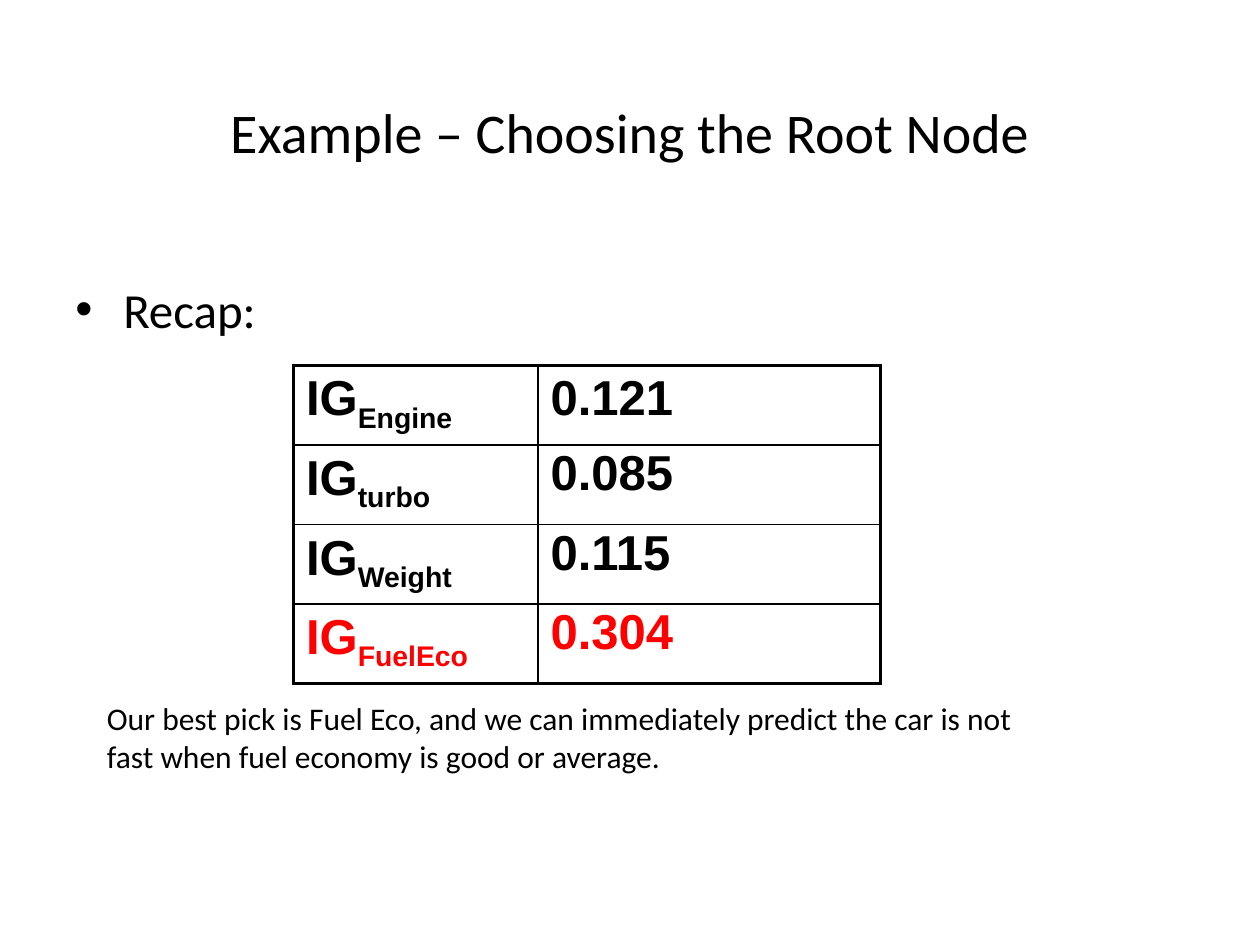
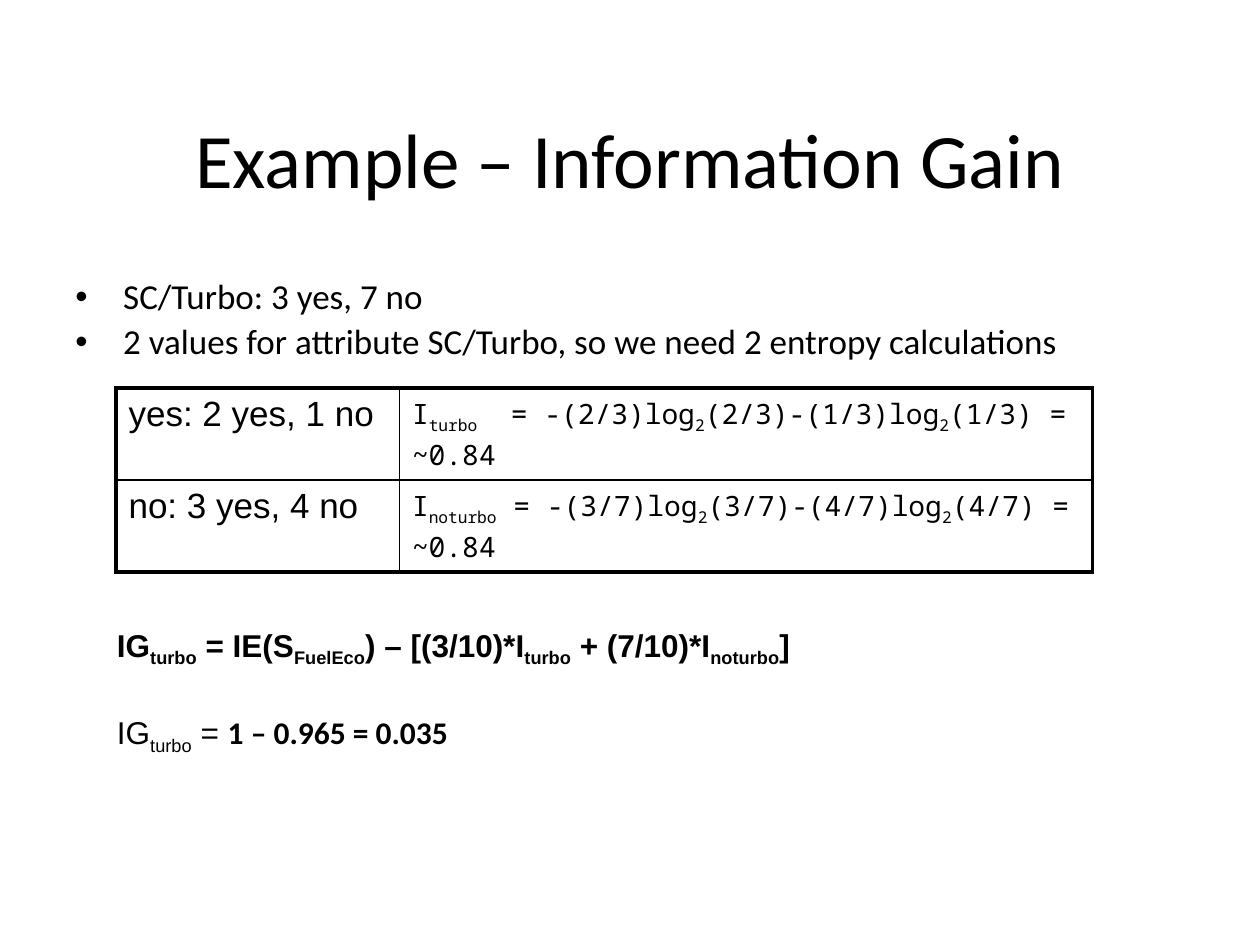
from pptx import Presentation
from pptx.dml.color import RGBColor
from pptx.enum import text as t
from pptx.oxml import ns
from pptx.util import Inches, Pt
from lxml import etree

BLACK = RGBColor(0, 0, 0)
RED = RGBColor(0xFF, 0, 0)
BODY, SANS, MONO = "Calibri", "Arial", "Noto Sans Mono"
OUTER, INNER = 2.25, 1


def add_xml(parent, tag, **attrs):
    return etree.SubElement(parent, ns.qn(tag), attrs)


def add_runs(p, content, size=18, font=BODY, color=BLACK, bold=False):
    """Text between bars is set as subscript."""
    for i, part in enumerate(content.split("|")):
        if not part:
            continue
        r = p.add_run()
        r.text = part
        f = r.font
        f.size, f.name, f.bold = Pt(size), font, bold
        f.color.rgb = color
        if i % 2:
            f._element.set("baseline", "-25000")


def write(p, content, size=18, before=0.2, line=None, align=None,
          bullet=False, **fmt):
    p.space_before = Pt(size * before)
    p.alignment = align
    if line:
        p.line_spacing = line
    if bullet:
        pPr = p._p.get_or_add_pPr()
        pPr.set("marL", str(Inches(0.38)))
        pPr.set("indent", str(-Inches(0.38)))
        add_xml(pPr, "a:buFont", typeface=SANS)
        add_xml(pPr, "a:buChar", char="•")
    add_runs(p, content, size, **fmt)


def add_box(s, box, lines, anchor=t.MSO_ANCHOR.TOP, **fmt):
    tf = s.shapes.add_textbox(*map(Inches, box)).text_frame
    tf.word_wrap = True
    tf.vertical_anchor = anchor
    for i, content in enumerate(lines):
        p = tf.add_paragraph() if i else tf.paragraphs[0]
        write(p, content, **fmt)
    return tf


def add_title(s, content, height, size):
    add_box(s, (0.5, 0.5, 9, height), [content], t.MSO_ANCHOR.MIDDLE,
            size=size, before=0, align=t.PP_ALIGN.CENTER)


def set_borders(cell, **widths):
    tcPr = cell._tc.get_or_add_tcPr()
    for i, (side, width) in enumerate(widths.items()):
        ln = etree.Element(ns.qn(f"a:ln{side}"), w=str(Pt(width)))
        add_xml(add_xml(ln, "a:solidFill"), "a:srgbClr", val=str(BLACK))
        tcPr.insert(i, ln)


def add_grid(s, left, top, widths, row_height, rows, style):
    table = s.shapes.add_table(
        len(rows), len(widths), Inches(left), Inches(top),
        Inches(sum(widths)), Inches(row_height * len(rows))).table
    table.first_row = table.horz_banding = False
    for col, width in zip(table.columns, widths):
        col.width = Inches(width)
    last_row, last_col = len(rows) - 1, len(widths) - 1
    for i, row in enumerate(rows):
        table.rows[i].height = Inches(row_height)
        for j, content in enumerate(row):
            cell = table.cell(i, j)
            cell.fill.background()
            set_borders(cell,
                        L=INNER if j else OUTER,
                        R=OUTER if j == last_col else INNER,
                        T=INNER if i else OUTER,
                        B=OUTER if i == last_row else INNER)
            write(cell.text_frame.paragraphs[0], content, **style(i, j))


def root_node_slide(s):
    gains = [("IG|Engine|", "0.121"), ("IG|turbo|", "0.085"),
             ("IG|Weight|", "0.115"), ("IG|FuelEco|", "0.304")]

    def gain_style(i, j):
        return dict(size=28, font=SANS, bold=True,
                    color=RED if i == len(gains) - 1 else BLACK,
                    line=0.9 if i and j else None)

    add_title(s, "Example – Choosing the Root Node", 1.08, 32)
    add_box(s, (0.5, 2.17, 4.42, 4.25), ["Recap:"], size=28, bullet=True)
    add_grid(s, 2.33, 2.9, (1.94, 2.72), 0.6, gains, gain_style)
    add_box(s, (0.75, 5.5, 7.6, 0.7),
            ["Our best pick is Fuel Eco, and we can immediately predict the "
             "car is not fast when fuel economy is good or average."], before=0)


def information_gain_slide(s):
    entropies = [
        ("yes: 2 yes, 1 no",
         "I|turbo|  = -(2/3)log|2|(2/3)-(1/3)log|2|(1/3) = ~0.84"),
        ("no: 3 yes, 4 no",
         "I|noturbo| = -(3/7)log|2|(3/7)-(4/7)log|2|(4/7) = ~0.84")]

    def entropy_style(i, j):
        return dict(size=16, font=MONO) if j else dict(size=20, font=SANS)

    add_title(s, "Example – Information Gain", 1.5, 44)
    add_box(s, (0.5, 2.17, 9, 1.17),
            ["SC/Turbo: 3 yes, 7 no",
             "2 values for attribute SC/Turbo, so we need 2 entropy calculations"],
            size=20, line=0.9, bullet=True)
    add_grid(s, 0.92, 3.08, (2.25, 5.5), 0.73, entropies, entropy_style)
    tf = add_box(s, (0.83, 4.92, 8.42, 1.03),
                 ["IG|turbo| = IE(S|FuelEco|) – "
                  "[(3/10)*I|turbo| + (7/10)*I|noturbo|]"],
                 line=0.9, font=SANS, bold=True)
    result = tf.add_paragraph()
    write(result, "IG|turbo| = ", before=1.55, line=0.9, font=SANS)
    add_runs(result, "1 – 0.965 = 0.035", bold=True)


def main():
    prs = Presentation()
    prs.slide_width, prs.slide_height = Inches(10), Inches(7.5)
    for build in (root_node_slide, information_gain_slide):
        build(prs.slides.add_slide(prs.slide_layouts[6]))
    prs.save("out.pptx")


if __name__ == "__main__":
    main()
